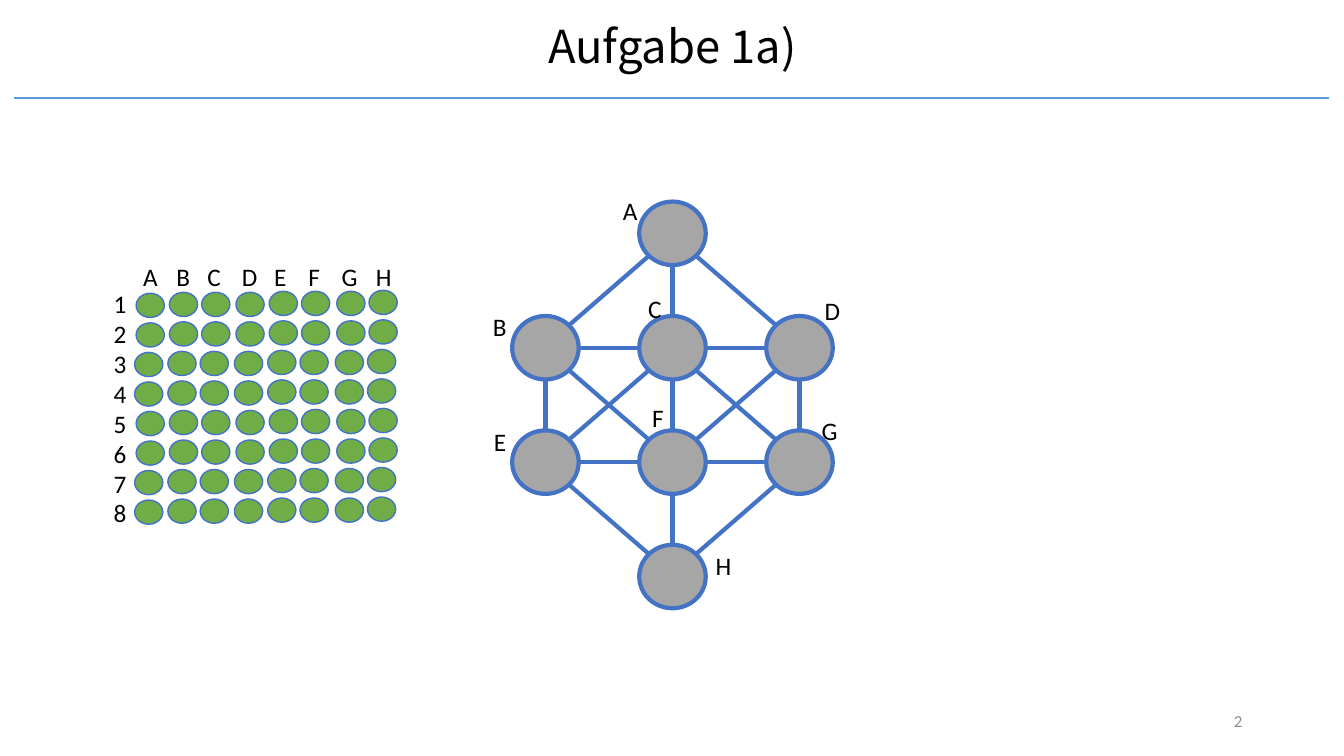
import pptx
import pptx.dml.color
import pptx.enum.shapes
import pptx.enum.text
import pptx.oxml.ns
import pptx.util
from lxml import etree

RGB = pptx.dml.color.RGBColor
BLACK = RGB(0x00, 0x00, 0x00)
NUMBER_GREY = RGB(0x8C, 0x8C, 0x8C)
NODE_GREY = RGB(0xA6, 0xA6, 0xA6)
DOT_GREEN = RGB(0x70, 0xAD, 0x47)
EDGE_BLUE = RGB(0x44, 0x72, 0xC4)
RULE_BLUE = RGB(0x5B, 0x9B, 0xD5)
ALIGN = pptx.enum.text.PP_ALIGN
ANCHOR = pptx.enum.text.MSO_ANCHOR

COLS, ROWS = 1333, 750
LABEL_H = 40
NODE_W, NODE_H = 66, 63
DOT_W, DOT_H = 28, 24
DIAGONAL = 0.71

NODES = {
    "A": (1, 0), "B": (0, 1), "C": (1, 1), "D": (2, 1),
    "E": (0, 2), "F": (1, 2), "G": (2, 2), "H": (1, 3),
}
EDGES = "AB AC AD BC CD BE CF DG BF CE CG DF EF FG EH FH GH".split()
NODE_LABELS = {
    "A": (608, 189), "B": (479, 304), "C": (633, 286), "D": (808, 288),
    "E": (480, 418), "F": (637, 394), "G": (805, 407), "H": (700, 541),
}
LABEL_W = {"A": 35, "B": 35, "C": 34, "D": 36, "E": 32, "F": 32, "G": 36, "H": 36}
DOT_X = [135, 168, 200, 234, 267, 299, 334, 366]
DOT_RISE = [0, 1, 1, 1, 2, 2, 2, 3]
COLUMN_LABEL_X = [132, 165, 196, 230, 262, 296, 329, 363]


class Slide:
    font = "Calibri"
    size = 18

    def __init__(self, prs):
        self.s = prs.slides.add_slide(prs.slide_layouts[6])
        self.cell_w = prs.slide_width / COLS
        self.cell_h = prs.slide_height / ROWS

    def place(self, x, y):
        return round(x * self.cell_w), round(y * self.cell_h)

    def text(self, x, y, w, h, words, size=None, font=None, color=BLACK,
             align=ALIGN.LEFT, anchor=ANCHOR.TOP, wrap=False, spacing=None):
        sp = self.s.shapes.add_textbox(*self.place(x, y), *self.place(w, h))
        tf = sp.text_frame
        tf.word_wrap = wrap
        tf.vertical_anchor = anchor
        p = tf.paragraphs[0]
        p.alignment = align
        if spacing:
            p.line_spacing = spacing
        r = p.add_run()
        r.text = words
        r.font.size = pptx.util.Pt(size or self.size)
        r.font.name = font or self.font
        r.font.color.rgb = color
        if font:
            ea = etree.SubElement(r.font._element, pptx.oxml.ns.qn("a:ea"))
            ea.set("typeface", font)

    def line(self, x1, y1, x2, y2, color, width):
        sp = self.s.shapes.add_connector(
            pptx.enum.shapes.MSO_CONNECTOR.STRAIGHT,
            *self.place(x1, y1), *self.place(x2, y2))
        sp.line.color.rgb = color
        sp.line.width = pptx.util.Pt(width)
        etree.SubElement(sp._element.spPr, pptx.oxml.ns.qn("a:effectLst"))

    def ellipse(self, x, y, w, h, fill, width):
        sp = self.s.shapes.add_shape(
            pptx.enum.shapes.MSO_SHAPE.OVAL, *self.place(x, y), *self.place(w, h))
        sp.shadow.inherit = False
        sp.fill.solid()
        sp.fill.fore_color.rgb = fill
        sp.line.color.rgb = EDGE_BLUE
        sp.line.width = pptx.util.Pt(width)


def sign(n):
    return (n > 0) - (n < 0)


def node_center(name):
    col, row = NODES[name]
    return 667 + 126 * (col - 1), 231.5 + 113.5 * row


def draw_graph(s):
    for a, b in EDGES:
        (x1, y1), (x2, y2) = node_center(a), node_center(b)
        dx, dy = sign(x2 - x1), sign(y2 - y1)
        reach = DIAGONAL if dx and dy else 1
        rx, ry = dx * reach * NODE_W / 2, dy * reach * NODE_H / 2
        s.line(x1 + rx, y1 + ry, x2 - rx, y2 - ry, EDGE_BLUE, 3)
    for name in NODES:
        x, y = node_center(name)
        s.ellipse(x - NODE_W / 2, y - NODE_H / 2, NODE_W, NODE_H, NODE_GREY, 3)
    for name, (x, y) in NODE_LABELS.items():
        s.text(x, y, LABEL_W[name], LABEL_H, name)


def draw_dots(s):
    for row in range(8):
        shift = 1.5 * (row // 2 % 2)
        for x, rise in zip(DOT_X, DOT_RISE):
            s.ellipse(x - shift, 291 + 29.3 * row - rise, DOT_W, DOT_H, DOT_GREEN, 1)
    for name, x in zip(NODES, COLUMN_LABEL_X):
        s.text(x, 254, LABEL_W[name], LABEL_H, name)
    for row in range(8):
        s.text(103, 281 + 29.7 * row, 33, LABEL_H, str(row + 1))


def main():
    prs = pptx.Presentation()
    prs.slide_width = pptx.util.Inches(13.33)
    prs.slide_height = pptx.util.Inches(7.5)
    s = Slide(prs)
    s.line(14, 97, 1318, 97, RULE_BLUE, 1.5)
    s.text(92, 17, 1150, 63, "Aufgabe 1a)", size=32.4, font="Noto Sans CJK SC",
           align=ALIGN.CENTER, anchor=ANCHOR.MIDDLE, wrap=True, spacing=0.9)
    s.text(942, 695, 300, 40, "2", size=12, color=NUMBER_GREY,
           align=ALIGN.RIGHT, anchor=ANCHOR.MIDDLE, wrap=True)
    draw_graph(s)
    draw_dots(s)
    prs.save("out.pptx")


if __name__ == "__main__":
    main()
